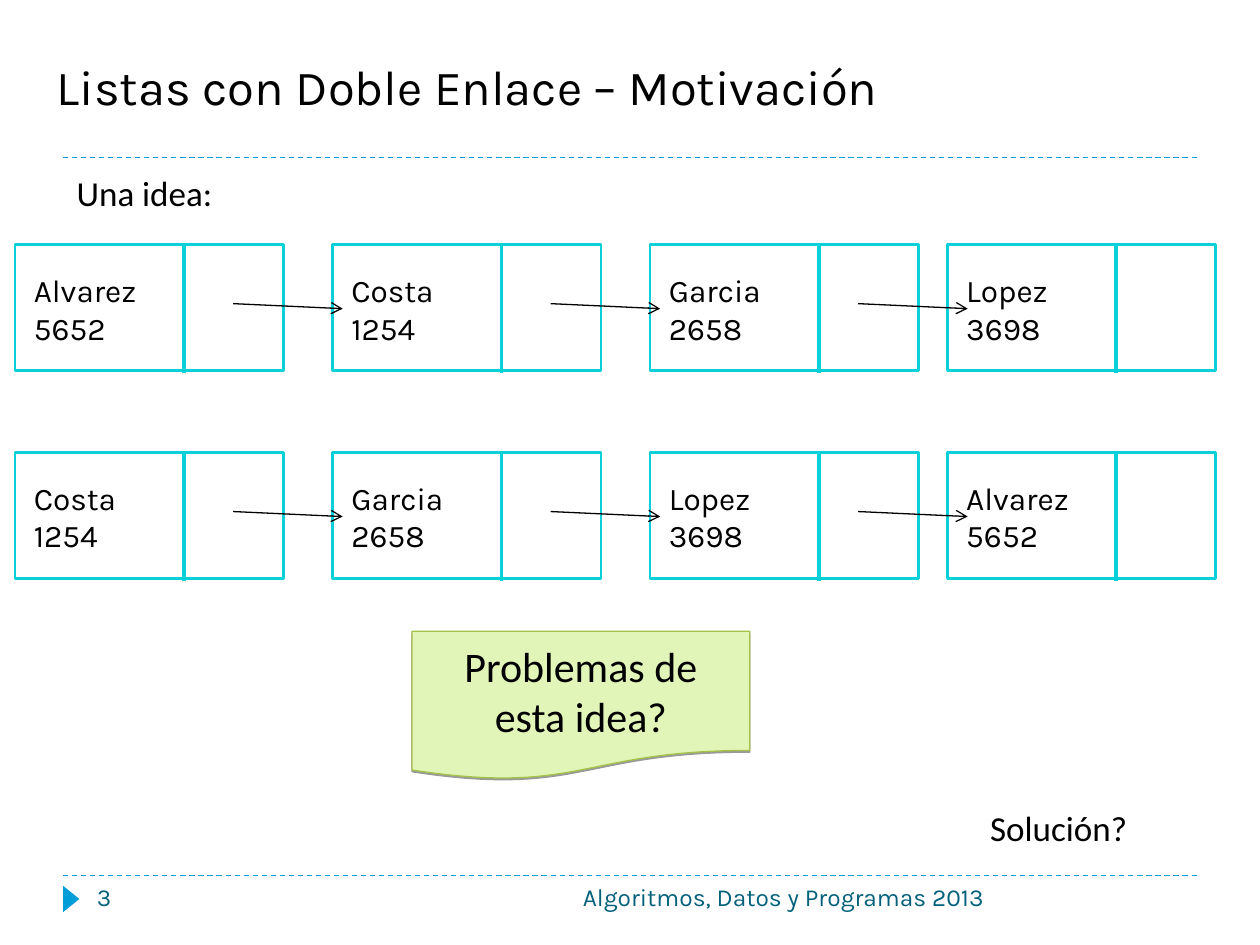
from dataclasses import dataclass
from typing import NamedTuple

import lxml.etree
import pptx
import pptx.dml.color
import pptx.enum.dml
import pptx.enum.shapes
import pptx.enum.text
import pptx.oxml
import pptx.oxml.ns
import pptx.util
from pptx.util import Inches

ALIGN = pptx.enum.text.PP_ALIGN
ANCHOR = pptx.enum.text.MSO_ANCHOR
SHAPE = pptx.enum.shapes.MSO_SHAPE
FIT = pptx.enum.text.MSO_AUTO_SIZE
qn = pptx.oxml.ns.qn


@dataclass(frozen=True)
class Theme:
    heading_font: str = "Karla"
    body_font: str = "Calibri"
    black: str = "000000"
    white: str = "FFFFFF"
    node_line: str = "0BD0D9"
    accent: str = "009DD9"
    footer: str = "04617B"
    note_fill: str = "E2F5B9"
    note_line: str = "A5C249"
    title_size: int = 28
    note_size: int = 24
    body_size: int = 20
    node_size: int = 18
    footer_size: int = 14


class Box(NamedTuple):
    left: float
    top: float
    width: float
    height: float

    def emu(self) -> list[int]:
        return [Inches(length) for length in self]


class Style(NamedTuple):
    font: str
    size: int
    color: str


class Person(NamedTuple):
    name: str
    number: str
    label_width: float


THEME = Theme()
TITLE = Style(THEME.heading_font, THEME.title_size, THEME.black)
BODY = Style(THEME.body_font, THEME.body_size, THEME.black)
NODE = Style(THEME.heading_font, THEME.node_size, THEME.black)
NOTE = Style(THEME.body_font, THEME.note_size, THEME.black)
FOOTER = Style(THEME.heading_font, THEME.footer_size, THEME.footer)

ALVAREZ = Person("Alvarez", "5652", 1.05)
COSTA = Person("Costa", "1254", 0.86)
GARCIA = Person("Garcia", "2658", 0.95)
LOPEZ = Person("Lopez", "3698", 0.89)

# Each list is one row of nodes, keyed by its top edge
LINKED_LISTS = {
    1.94: [ALVAREZ, COSTA, GARCIA, LOPEZ],
    3.59: [COSTA, GARCIA, LOPEZ, ALVAREZ],
}
NODE_LEFTS = [0.12, 2.64, 5.16, 7.52]
ARROW_STARTS = [1.85, 4.37, 6.81]
NODE_WIDTH, NODE_HEIGHT = 2.13, 1.0
LINK_OFFSET, LINK_HEIGHT = 1.34, 1.02


def rgb(color: str) -> pptx.dml.color.RGBColor:
    return pptx.dml.color.RGBColor.from_string(color)


def write(frame, lines: list[str], style: Style, align=ALIGN.LEFT, space_after: int = 0) -> None:
    frame.text = "\n".join(lines)
    for paragraph in frame.paragraphs:
        paragraph.alignment = align
        paragraph.space_after = pptx.util.Pt(space_after)
        paragraph.font.name = style.font
        paragraph.font.size = pptx.util.Pt(style.size)
        paragraph.font.color.rgb = rgb(style.color)


def add_text(slide, box: Box, lines: list[str], style: Style, align=ALIGN.LEFT,
             space_after: int = 0, wrap: bool = True, fit=FIT.NONE) -> None:
    frame = slide.shapes.add_textbox(*box.emu()).text_frame
    frame.word_wrap = wrap
    frame.auto_size = fit
    write(frame, lines, style, align, space_after)


def add_line(slide, start: tuple[float, float], end: tuple[float, float], color: str,
             width: float, dashed: bool = False, arrow: bool = False) -> None:
    line = slide.shapes.add_connector(
        pptx.enum.shapes.MSO_CONNECTOR.STRAIGHT,
        *[Inches(length) for length in (*start, *end)])
    line.line.color.rgb = rgb(color)
    line.line.width = pptx.util.Pt(width)
    if dashed:
        line.line.dash_style = pptx.enum.dml.MSO_LINE.DASH
    properties = line._element.spPr
    if arrow:
        lxml.etree.SubElement(properties.find(qn("a:ln")), qn("a:tailEnd"), type="arrow")
    lxml.etree.SubElement(properties, qn("a:effectLst"))


def add_shape(slide, kind, box: Box, fill: str, line: str | None = None, width: float = 0):
    shape = slide.shapes.add_shape(kind, *box.emu())
    shape.shadow.inherit = False
    shape.fill.solid()
    shape.fill.fore_color.rgb = rgb(fill)
    if line is None:
        shape.line.fill.background()
    else:
        shape.line.color.rgb = rgb(line)
        shape.line.width = pptx.util.Pt(width)
    return shape


def add_node(slide, left: float, top: float, person: Person) -> None:
    add_shape(slide, SHAPE.RECTANGLE, Box(left, top, NODE_WIDTH, NODE_HEIGHT),
              THEME.white, THEME.node_line, 1.5)
    add_text(slide, Box(left + 0.05, top + 0.16, person.label_width, 0.7),
             [person.name, person.number], NODE, wrap=False, fit=FIT.SHAPE_TO_FIT_TEXT)
    link = left + LINK_OFFSET
    add_line(slide, (link, top), (link, top + LINK_HEIGHT), THEME.node_line, 2.25)


def add_linked_list(slide, top: float, people: list[Person]) -> None:
    for left, person in zip(NODE_LEFTS, people):
        add_node(slide, left, top, person)
    for start in ARROW_STARTS:
        add_line(slide, (start, top + 0.47), (start + 0.87, top + 0.51),
                 THEME.black, 0.75, arrow=True)


def add_note(slide, box: Box, question: str) -> None:
    note = add_shape(slide, SHAPE.FLOWCHART_DOCUMENT, box, THEME.note_fill, THEME.note_line, 0.75)
    note.text_frame.word_wrap = True
    note.text_frame.vertical_anchor = ANCHOR.MIDDLE
    write(note.text_frame, [question], NOTE, ALIGN.CENTER)
    # Thin shadow straight below the note
    effects = note._element.spPr.find(qn("a:effectLst"))
    shadow = lxml.etree.SubElement(effects, qn("a:outerShdw"), blurRad="0",
                                   dist="12700", dir="5400000", rotWithShape="0")
    color = lxml.etree.SubElement(shadow, qn("a:srgbClr"), val=THEME.black)
    lxml.etree.SubElement(color, qn("a:alpha"), val="40000")


def main() -> None:
    presentation = pptx.Presentation()
    presentation.slide_width, presentation.slide_height = Inches(10), Inches(7.5)
    slide = presentation.slides.add_slide(presentation.slide_layouts[5])

    # Rules and page marker
    for height in (6.95, 1.25):
        add_line(slide, (0.5, height), (9.5, height), THEME.accent, 0.75, dashed=True)
    marker = add_shape(slide, SHAPE.ISOSCELES_TRIANGLE, Box(0.46, 7.07, 0.21, 0.13), THEME.accent)
    marker.rotation = 90

    # Title
    title = slide.shapes.title
    title.left, title.top, title.width, title.height = Box(0.35, 0.13, 8.43, 1.1).emu()
    title.text_frame.vertical_anchor = ANCHOR.MIDDLE
    title.text_frame.auto_size = FIT.NONE
    write(title.text_frame, ["Listas con Doble Enlace – Motivación"], TITLE)

    # Footer
    add_text(slide, Box(3.37, 6.95, 4.54, 0.5), ["Algoritmos, Datos y Programas 2013"],
             FOOTER, ALIGN.RIGHT)
    add_text(slide, Box(0.67, 6.95, 2.17, 0.4), ["3"], FOOTER)

    # The idea, its two orderings and the questions
    add_text(slide, Box(0.51, 1.31, 8.98, 0.44), ["Una idea:"], BODY, ALIGN.JUSTIFY,
             space_after=5, fit=FIT.SHAPE_TO_FIT_TEXT)
    for top, people in LINKED_LISTS.items():
        add_linked_list(slide, top, people)
    add_note(slide, Box(3.27, 5.01, 2.68, 1.18), "Problemas de esta idea?")
    add_text(slide, Box(7.76, 6.35, 1.69, 0.44), ["Solución?"], BODY, ALIGN.JUSTIFY,
             space_after=5, fit=FIT.SHAPE_TO_FIT_TEXT)

    presentation.save("out.pptx")


if __name__ == "__main__":
    main()
